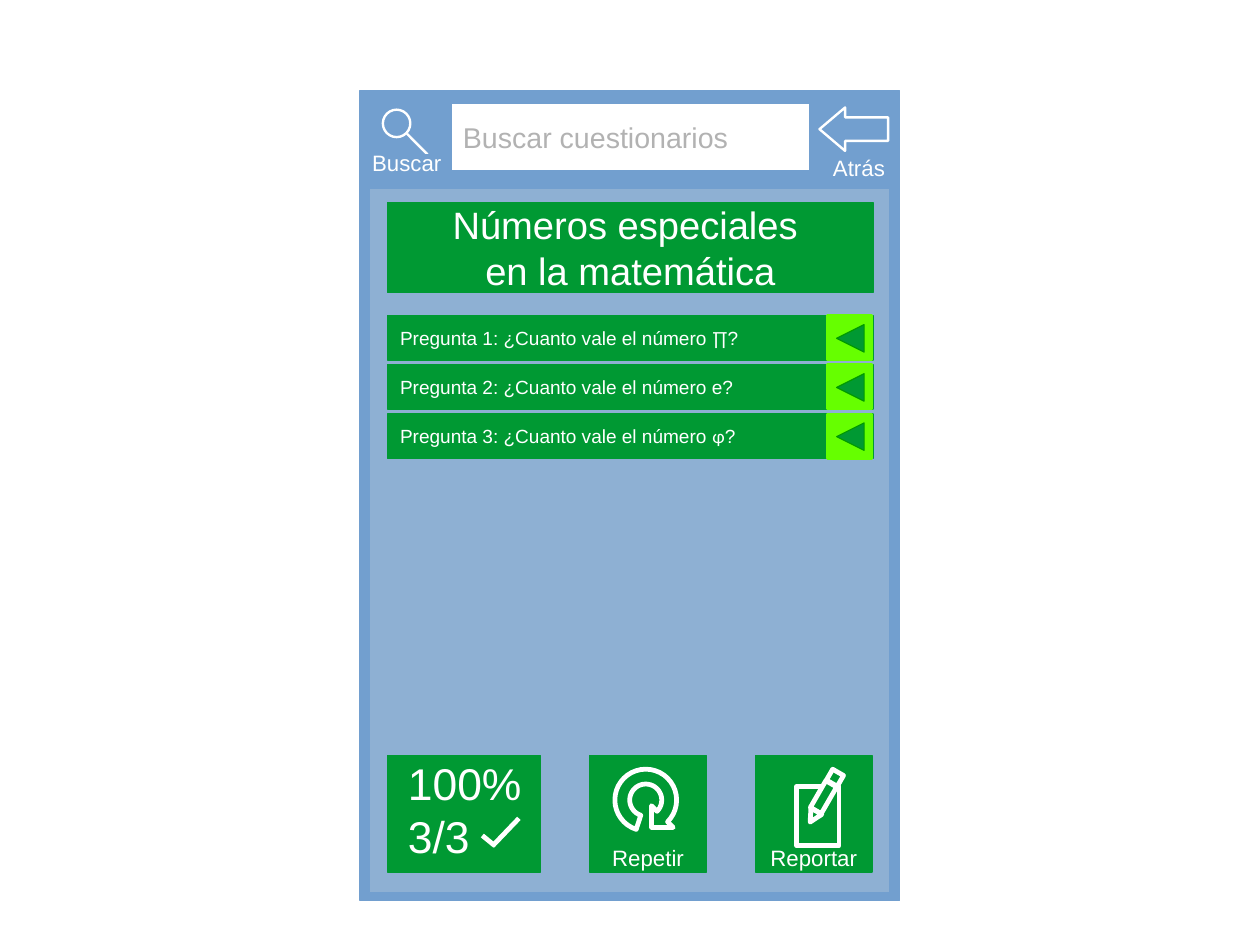
from math import cos, radians, sin

from lxml.etree import SubElement
from pptx import Presentation
from pptx.dml.color import RGBColor
from pptx.enum.shapes import MSO_CONNECTOR, MSO_SHAPE
from pptx.enum.text import MSO_ANCHOR, PP_ALIGN
from pptx.oxml.ns import qn
from pptx.util import Inches, Pt

BLUE, PANEL, GREEN, LIME = "729FCF", "8EB0D3", "009933", "66FF00"
WHITE, GREY, DARK_GREEN = "FFFFFF", "B2B2B2", "009900"

TITLE = [[("Números especiales ", "Arial")], [("en la matemática", "Arial")]]
QUESTIONS = [
    [("Pregunta 1: ¿Cuanto vale el número ", "Arial"), ("∏", "Calibri"), ("?", "Arial")],
    [("Pregunta 2: ¿Cuanto vale el número e?", "Arial")],
    [("Pregunta 3: ¿Cuanto vale el número ", "Arial"), ("φ", "Calibri"), ("?", "Arial")],
]
PENCIL = [
    (MSO_SHAPE.RECTANGLE, (6.97, 6.88, 0.37, 0.52), 0),
    (MSO_SHAPE.RECTANGLE, (7.25, 6.75, 0.11, 0.11), 30),
    (MSO_SHAPE.RECTANGLE, (7.15, 6.84, 0.11, 0.27), 30),
    (MSO_SHAPE.ISOSCELES_TRIANGLE, (7.06, 7.09, 0.11, 0.11), 210),
]
CHECK_MARK = [((4.22, 7.31), (4.33, 7.4)), ((4.54, 7.16), (4.31, 7.4))]

CM_PER_INCH = 2.54
MARGIN = 3.39
ROW_TOP, ROW_STEP, ROW_HEIGHT = 2.76, 0.43, 0.39
BUTTON_TOP, BUTTON_SIZE = 6.61, 1.02

deck = Presentation()
deck.slide_width = Inches(28 / CM_PER_INCH)
deck.slide_height = Inches(21 / CM_PER_INCH)
page = deck.slides.add_slide(deck.slide_layouts[6])


def color(value):
    return RGBColor.from_string(value)


def paint(shape, fill, line, width):
    shape.shadow.inherit = False
    shape.fill.solid()
    shape.fill.fore_color.rgb = color(fill)
    shape.line.color.rgb = color(line)
    shape.line.width = Pt(width)
    SubElement(shape.element.spPr.find(qn("a:ln")), qn("a:round"))


def add_box(area, fill, line=None, width=0, kind=MSO_SHAPE.RECTANGLE, turn=0):
    box = page.shapes.add_shape(kind, *map(Inches, area))
    paint(box, fill, line or fill, width)
    box.rotation = turn
    return box


def write(box, lines, size, align=PP_ALIGN.CENTER, ink=WHITE, inset=0.11):
    frame = box.text_frame
    frame.word_wrap = False
    frame.vertical_anchor = MSO_ANCHOR.MIDDLE
    frame.margin_left = frame.margin_right = Inches(inset)
    frame.margin_top = frame.margin_bottom = Inches(inset - 0.05)
    for number, spans in enumerate(lines):
        para = frame.add_paragraph() if number else frame.paragraphs[0]
        para.alignment = align
        for words, font in spans:
            span = para.add_run()
            span.text = words
            span.font.name = font
            span.font.size = Pt(size)
            span.font.color.rgb = color(ink)


def add_label(area, words, fill, size=14, align=PP_ALIGN.CENTER):
    write(add_box(area, fill), [[(words, "Arial")]], size, align, inset=0.1)


def add_line(start, end, width):
    line = page.shapes.add_connector(MSO_CONNECTOR.STRAIGHT, *map(Inches, start + end))
    line.line.color.rgb = color(WHITE)
    line.line.width = Pt(width)
    SubElement(line.element.spPr, qn("a:effectLst"))


def arc(radius, first, last, step):
    return [
        (5.65 + radius * cos(radians(angle)), 7 + radius * sin(radians(angle)))
        for angle in range(first, last + step, step)
    ]


def add_repeat_arrow():
    outline = arc(0.14, 45, -252, -9) + arc(0.27, 108, 405, 9)
    outline += [(5.89, 7.24), (5.7, 7.24), (5.7, 7.05)]
    points = [(Inches(x), Inches(y)) for x, y in outline]
    builder = page.shapes.build_freeform(*points[0])
    builder.add_line_segments(points[1:], close=True)
    paint(builder.convert_to_shape(), GREEN, WHITE, 3)


def add_question(index, spans):
    top = ROW_TOP + index * ROW_STEP
    row = add_box((MARGIN, top, 4.25, ROW_HEIGHT), GREEN, width=1)
    write(row, [spans], 12, PP_ALIGN.LEFT)
    add_box((7.24, top, 0.39, ROW_HEIGHT), LIME, width=1.5)
    add_box((7.32, top + 0.08, 0.24, 0.24), GREEN, DARK_GREEN,
            kind=MSO_SHAPE.ISOSCELES_TRIANGLE, turn=270)


def add_button(left, words):
    add_box((left, BUTTON_TOP, BUTTON_SIZE, BUTTON_SIZE), GREEN)
    add_label((left + 0.06, 7.4, 0.9, 0.2), words, GREEN)


add_box((3.15, 0.79, 4.72, 7.09), BLUE)
add_box((3.23, 1.65, 4.55, 6.16), PANEL, BLUE)

add_box((3.19, 0.81, 0.75, 0.75), BLUE, width=1.5)
add_box((3.35, 0.96, 0.24, 0.24), BLUE, WHITE, 1.5, MSO_SHAPE.OVAL)
add_line((3.56, 1.17), (3.74, 1.35), 1.5)
add_label((3.23, 1.35, 0.66, 0.15), "Buscar", BLUE)

write(add_box((MARGIN, 1.77, 4.25, 0.79), GREEN, width=1), TITLE, 24)
for index, spans in enumerate(QUESTIONS):
    add_question(index, spans)

add_button(5.16, "Repetir")
add_repeat_arrow()

add_button(6.61, "Reportar")
for kind, area, turn in PENCIL:
    add_box(area, GREEN, WHITE, 3, kind, turn)

add_box((MARGIN, BUTTON_TOP, 1.34, BUTTON_SIZE), GREEN)
add_label((3.47, 6.67, 1.19, 0.36), "100%", GREEN, 28)
add_label((3.47, 7.13, 0.71, 0.36), "3/3", GREEN, 28, PP_ALIGN.LEFT)
for start, end in CHECK_MARK:
    add_line(start, end, 3)

add_box((7.09, 0.83, 0.78, 0.79), BLUE)
add_label((7.17, 1.39, 0.69, 0.16), "Atrás", BLUE)
back = add_box((7.17, 0.94, 0.6, 0.38), BLUE, WHITE, 1.5, MSO_SHAPE.LEFT_ARROW)
back.adjustments[0], back.adjustments[1] = 0.54, 0.59

search = add_box((3.94, 0.89, 3.15, 0.61), WHITE, BLUE, 2.3)
write(search, [[("Buscar cuestionarios", "Arial")]], 18, PP_ALIGN.LEFT, GREY)

deck.save("out.pptx")
